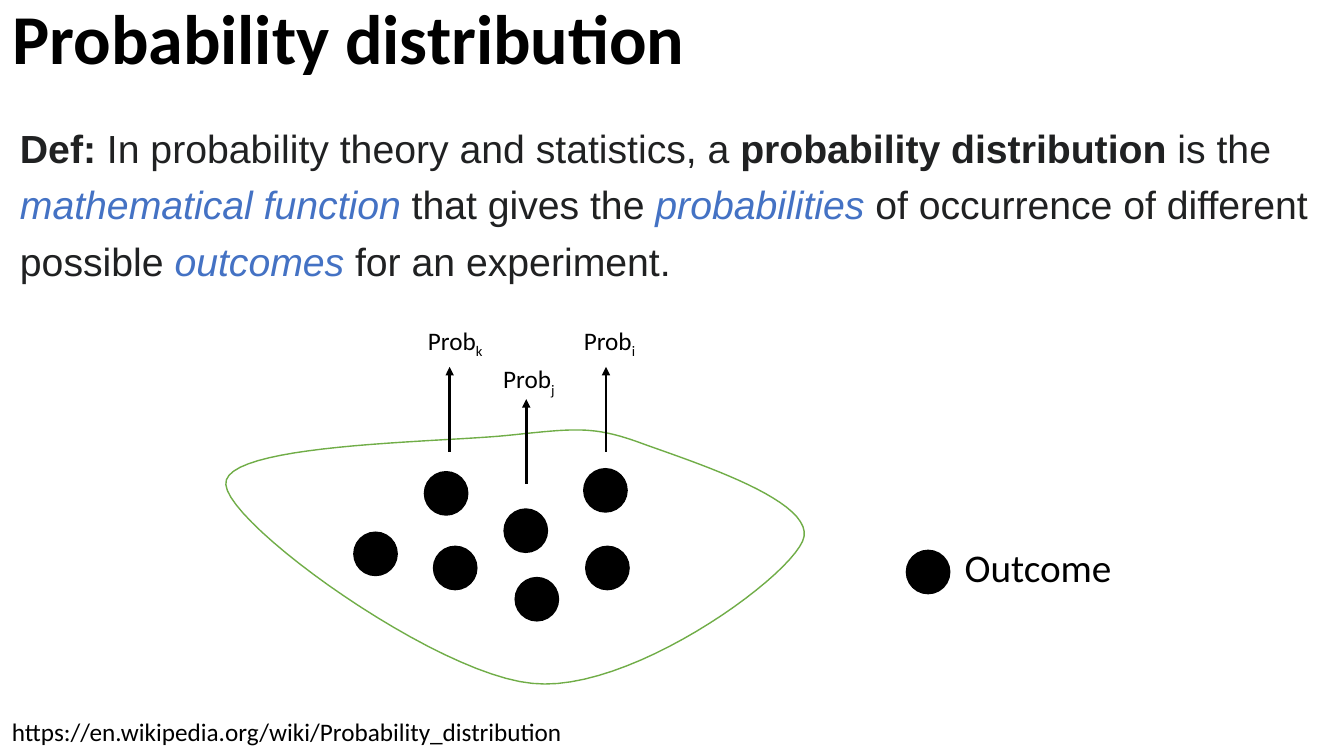
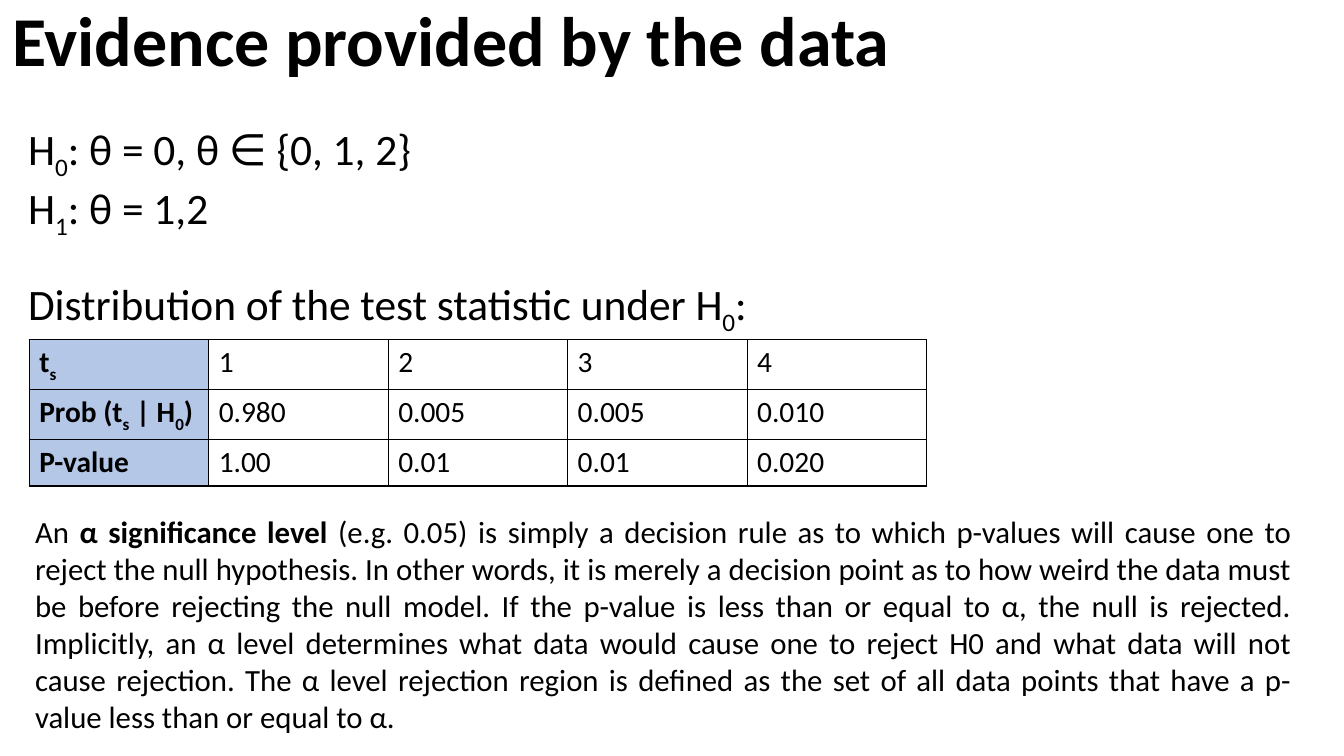
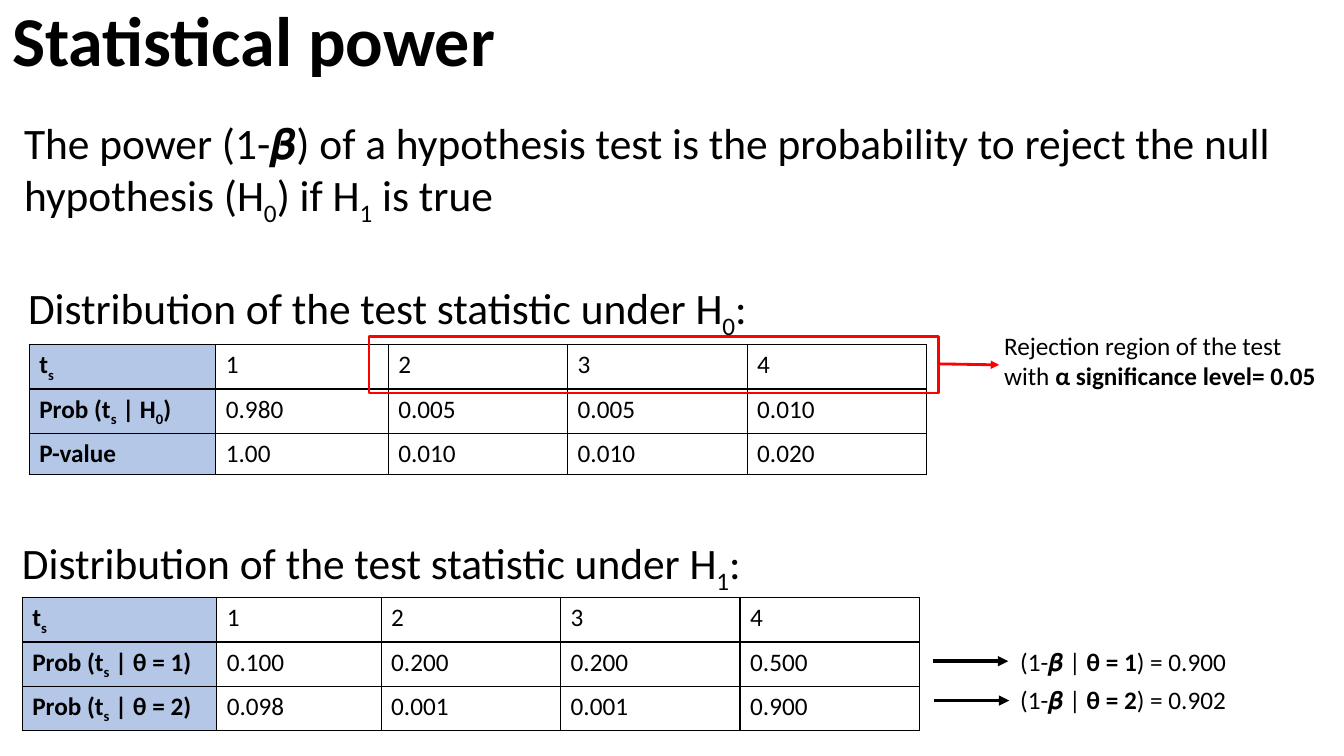
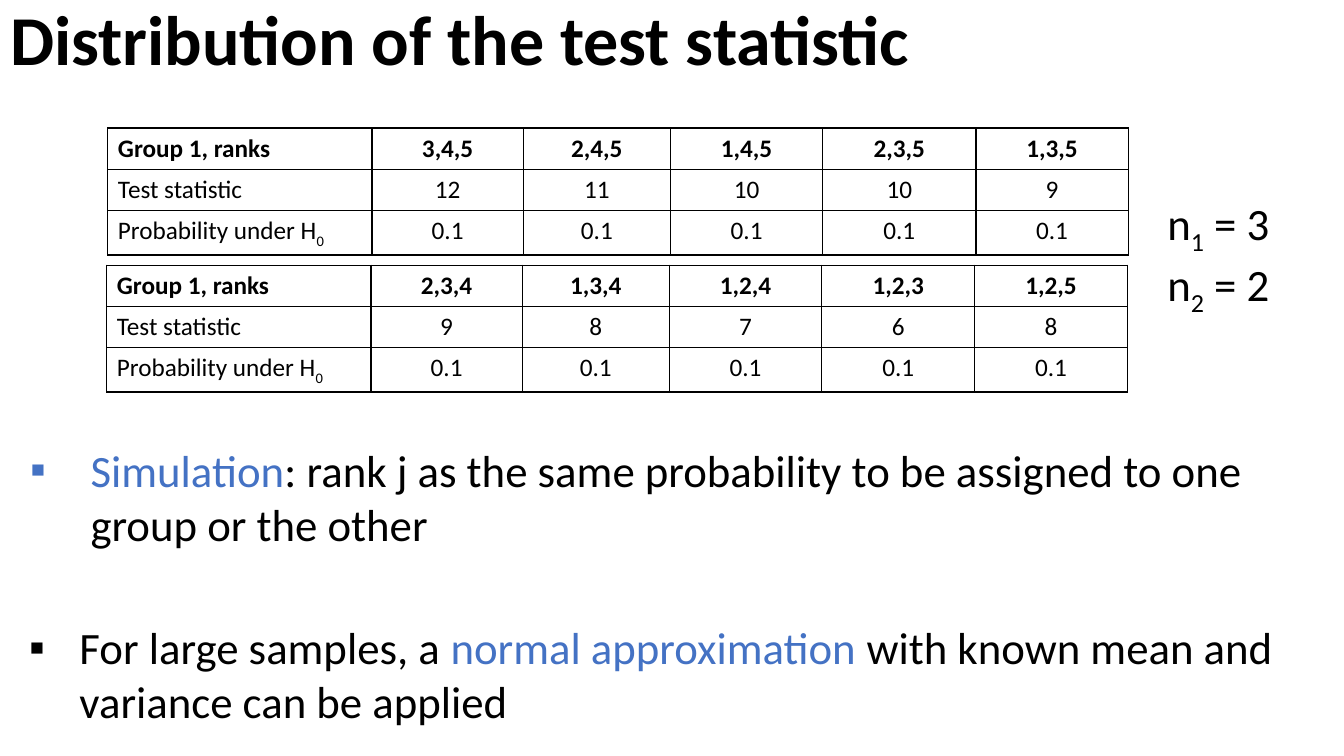
"""Build four slides on probability distributions, evidence and statistical power."""
from lxml import etree
from pptx import Presentation, util as u
from pptx.dml.color import RGBColor
from pptx.enum import shapes, text
from pptx.oxml import ns

SCALE = 9144
BLACK = RGBColor(0x00, 0x00, 0x00)
INK = RGBColor(0x20, 0x21, 0x22)
WHITE = RGBColor(0xFF, 0xFF, 0xFF)
BLUE = RGBColor(0x44, 0x72, 0xC4)
PALE_BLUE = RGBColor(0xB4, 0xC7, 0xE7)
GREEN = RGBColor(0x70, 0xAD, 0x47)
RED = RGBColor(0xFF, 0x00, 0x00)
FONT = "Calibri"
LEFT, CENTER, JUSTIFY = text.PP_ALIGN.LEFT, text.PP_ALIGN.CENTER, text.PP_ALIGN.JUSTIFY
MIDDLE, BOTTOM = text.MSO_ANCHOR.MIDDLE, text.MSO_ANCHOR.BOTTOM

DOT = 43
DOTS = [(351, 528), (421, 468), (430, 542), (500, 505), (511, 573),
        (579, 465), (581, 542), (899, 546)]
OUTLINE_START = (503, 432)
OUTLINE_CURVES = [
    ((434, 439), (219, 440), (224, 481)),
    ((228, 522), (432, 669), (528, 678)),
    ((623, 688), (778, 577), (796, 537)),
    ((814, 498), (686, 458), (637, 440)),
    ((588, 422), (571, 425), (503, 432)),
]
CURVE_STEPS = 24


def distribution_of(index):
    return [["Distribution of the test statistic under H", (index, "sub"), ":"]]


def power_given(theta, power):
    return [["(1-𝜷 | ", (f"θ = {theta}", "bold"), f") = {power}"]]


def probability_label(index):
    return [["Prob", (index, "sub")]]


def probability_head(*condition):
    return ["Prob (t", ("s", "sub"), " | ", *condition, ")"]


STATISTIC_ROW = [["t", ("s", "sub")], "1", "2", "3", "4"]
NULL_ROW = [probability_head("H", ("0", "sub")), "0.980", "0.005", "0.005", "0.010"]


def rank_rows(ranks, statistics):
    return [["Group 1, ranks", *ranks],
            ["Test statistic", *statistics],
            [["Probability under H", ("0", "sub")], *["0.1"] * len(ranks)]]


RANK_TABLE = dict(columns=[262, 150, 146, 151, 152, 151], row_height=41, size=18,
                  head="row", align=CENTER)

PAGES = [
    dict(
        title="Probability distribution", title_box=(2, 8, 1333, 76), anchor=BOTTOM,
        texts=[
            ((10, 109, 1320, 176), [[
                ("Def:", "bold"), " In probability theory and statistics, a ",
                ("probability distribution", "bold"), " is the ",
                ("mathematical function ", "blue italic"), "that gives the ",
                ("probabilities", "blue italic"), " of occurrence of different possible ",
                ("outcomes", "blue italic"), " for an experiment."]],
             dict(size=28, font="Arial", color=INK, spacing=1.2)),
            ((2, 706, 683, 40),
             [["https://en.wikipedia.org/wiki/Probability_distribution"]], dict(size=18)),
            ((947, 534, 180, 57), [["Outcome"]], dict(size=28)),
            ((542, 318, 125, 40), probability_label("i"), dict(size=18, align=CENTER)),
            ((462, 356, 125, 40), probability_label("j"), dict(size=18, align=CENTER)),
            ((389, 318, 125, 40), probability_label("k"), dict(size=18, align=CENTER)),
        ],
        arrows=[((x, y), (x, y - 84), BLACK, 2) for x, y in [(601, 448), (522, 480), (446, 448)]],
    ),
    dict(
        title="Evidence provided by the data", title_box=(2, 4, 1333, 79),
        texts=[
            ((18, 116, 1302, 116), [["H", ("0", "sub"), ": θ = 0, θ ∈ {0, 1, 2}"],
                                    ["H", ("1", "sub"), ": θ = 1,2"]], dict(size=31)),
            ((18, 270, 754, 62), distribution_of("0"), dict(size=31)),
            ((25, 504, 1266, 232), [[
                "An ", ("α significance level ", "bold"),
                "(e.g. 0.05) is simply a decision rule as to which p-values will cause one to "
                "reject the null hypothesis. In other words, it is merely a decision point as to "
                "how weird the data must be before rejecting the null model. If the p-value is "
                "less than or equal to α, the null is rejected. Implicitly, an α level determines "
                "what data would cause one to reject H0 and what data will not cause rejection. "
                "The α level rejection region is defined as the set of all data points that have "
                "a p-value less than or equal to α."]], dict(size=22, align=JUSTIFY)),
        ],
        tables=[((29, 337), [STATISTIC_ROW, NULL_ROW, ["P-value", "1.00", "0.01", "0.01", "0.020"]],
                 dict(columns=[178] * 5, row_height=45, size=21))],
    ),
    dict(
        title="Statistical power", title_box=(2, 4, 1333, 79),
        texts=[
            ((14, 110, 1291, 118), [[
                "The power (1-𝜷) of a hypothesis test is the probability to reject the null "
                "hypothesis (H", ("0", "sub"), ") if H", ("1", "sub"), " is true"]],
             dict(size=31)),
            ((18, 274, 754, 62), distribution_of("0"), dict(size=31)),
            ((12, 527, 754, 62), distribution_of("1"), dict(size=31)),
            ((986, 323, 332, 71), [["Rejection region of the test with ",
                                    ("α significance level= 0.05", "bold")]], dict(size=18)),
            ((1002, 636, 240, 40), power_given(1, "0.900"), dict(size=18)),
            ((1002, 674, 240, 40), power_given(2, "0.902"), dict(size=18)),
        ],
        tables=[
            ((29, 342), [STATISTIC_ROW, NULL_ROW, ["P-value", "1.00", "0.010", "0.010", "0.020"]],
             dict(columns=[185, 171, 178, 178, 178], row_height=41, size=18)),
            ((22, 593), [STATISTIC_ROW,
                         [probability_head("θ = 1"), "0.100", "0.200", "0.200", "0.500"],
                         [probability_head("θ = 2"), "0.098", "0.001", "0.001", "0.900"]],
             dict(columns=[193, 163, 178, 178, 178], row_height=41, size=18)),
        ],
        region=(366, 334, 565, 56),
        arrows=[((931, 361), (991, 362), RED, 2),
                ((925, 656), (1000, 656), BLACK, 2.5),
                ((926, 695), (1001, 695), BLACK, 2.5)],
    ),
    dict(
        title="Distribution of the test statistic", title_box=(0, 3, 1333, 79),
        texts=[
            ((20, 434, 1277, 118), [[
                ("Simulation", "blue"),
                ": rank j as the same probability to be assigned to one group or the other"]],
             dict(size=32, bullet=60)),
            ((19, 610, 1297, 118), [[
                "For large samples, a ", ("normal approximation ", "blue"),
                "with known mean and variance can be applied"]], dict(size=32, bullet=50)),
            ((1148, 189, 151, 118), [["n", ("1", "sub"), " = 3"], ["n", ("2", "sub"), " = 2"]],
             dict(size=32)),
        ],
        tables=[
            ((107, 127), rank_rows(["3,4,5", "2,4,5", "1,4,5", "2,3,5", "1,3,5"],
                                   ["12", "11", "10", "10", "9"]), RANK_TABLE),
            ((106, 263), rank_rows(["2,3,4", "1,3,4", "1,2,4", "1,2,3", "1,2,5"],
                                   ["9", "8", "7", "6", "8"]), RANK_TABLE),
        ],
    ),
]


def px(*lengths):
    return [u.Emu(round(length * SCALE)) for length in lengths]


def add_element(parent, tag, **attributes):
    return etree.SubElement(parent, ns.qn(tag), attributes)


def write(frame, paragraphs, size=18, font=FONT, color=BLACK, bold=False, align=LEFT,
          spacing=None, bullet=None):
    frame.word_wrap = True
    for index, spans in enumerate(paragraphs):
        para = frame.add_paragraph() if index else frame.paragraphs[0]
        para.alignment = align
        if spacing:
            para.line_spacing = spacing
        if bullet:
            properties = para._p.get_or_add_pPr()
            properties.set("marL", str(bullet * SCALE))
            properties.set("indent", str(-bullet * SCALE))
            add_element(properties, "a:buFont", typeface="Arial")
            add_element(properties, "a:buChar", char="▪")
        for content in spans:
            words, style = (content, "") if isinstance(content, str) else content
            span = para.add_run()
            span.text = words
            span.font.name, span.font.size = font, u.Pt(size)
            span.font.bold = bold or "bold" in style
            span.font.italic = "italic" in style
            span.font.color.rgb = BLUE if "blue" in style else color
            if "sub" in style:
                span._r.get_or_add_rPr().set("baseline", "-25000")


def add_titled_page(deck, title, box, anchor):
    page = deck.slides.add_slide(deck.slide_layouts[5])
    holder = page.shapes.title
    holder.left, holder.top, holder.width, holder.height = px(*box)
    frame = holder.text_frame
    frame.auto_size = text.MSO_AUTO_SIZE.NONE
    frame.vertical_anchor = anchor
    write(frame, [[title]], size=50, bold=True, spacing=0.9)
    return page


def add_shape(page, kind, box, fill, line, weight):
    shape = page.shapes.add_shape(kind, *px(*box))
    paint(shape, fill, line, weight)


def paint(shape, fill, line, weight):
    shape.shadow.inherit = False
    if fill is None:
        shape.fill.background()
    else:
        shape.fill.solid()
        shape.fill.fore_color.rgb = fill
    shape.line.color.rgb, shape.line.width = line, u.Pt(weight)


def add_arrow(page, start, end, color, weight):
    arrow = page.shapes.add_connector(shapes.MSO_CONNECTOR.STRAIGHT, *px(*start, *end))
    arrow.line.color.rgb, arrow.line.width = color, u.Pt(weight)
    add_element(arrow.line._get_or_add_ln(), "a:tailEnd", type="triangle")
    add_element(arrow._element.spPr, "a:effectLst")


def add_borders(cell):
    properties = cell._tc.get_or_add_tcPr()
    for position, side in enumerate(("a:lnL", "a:lnR", "a:lnT", "a:lnB")):
        border = etree.Element(ns.qn(side), w=str(u.Pt(1)))
        add_element(add_element(border, "a:solidFill"), "a:srgbClr", val=str(BLACK))
        properties.insert(position, border)


def add_grid(page, corner, rows, columns, row_height, size, head="column", align=LEFT):
    extent = sum(columns), row_height * len(rows)
    table = page.shapes.add_table(len(rows), len(columns), *px(*corner, *extent)).table
    table.first_row = table.horz_banding = False
    for column, width in zip(table.columns, px(*columns)):
        column.width = width
    for r, row in enumerate(rows):
        for c, content in enumerate(row):
            cell = table.cell(r, c)
            spans = [content] if isinstance(content, str) else content
            is_head = c == 0 if head == "column" else r == 0
            write(cell.text_frame, [spans], size=size, bold=is_head, align=align if c else LEFT)
            if is_head and head == "column":
                cell.fill.solid()
                cell.fill.fore_color.rgb = PALE_BLUE
            else:
                cell.fill.background()
            add_borders(cell)


def curve_point(points, t):
    weights = ((1 - t) ** 3, 3 * t * (1 - t) ** 2, 3 * t ** 2 * (1 - t), t ** 3)
    return px(*(sum(w * p[axis] for w, p in zip(weights, points)) for axis in (0, 1)))


def add_outcome_space(page):
    builder = page.shapes.build_freeform(*px(*OUTLINE_START))
    start = OUTLINE_START
    for curve in OUTLINE_CURVES:
        builder.add_line_segments([curve_point((start, *curve), step / CURVE_STEPS)
                                   for step in range(1, CURVE_STEPS + 1)], close=False)
        start = curve[-1]
    builder.add_line_segments([], close=True)
    paint(builder.convert_to_shape(), WHITE, GREEN, 1)
    for corner in DOTS:
        add_shape(page, shapes.MSO_SHAPE.OVAL, (*corner, DOT, DOT), BLACK, BLACK, 1)


def main():
    deck = Presentation()
    deck.slide_width, deck.slide_height = px(1333, 750)
    for number, content in enumerate(PAGES):
        page = add_titled_page(deck, content["title"], content["title_box"],
                               content.get("anchor", MIDDLE))
        if number == 0:
            add_outcome_space(page)
        for corner, rows, layout in content.get("tables", []):
            add_grid(page, corner, rows, **layout)
        if "region" in content:
            add_shape(page, shapes.MSO_SHAPE.RECTANGLE, content["region"], None, RED, 2)
        for box, paragraphs, layout in content["texts"]:
            write(page.shapes.add_textbox(*px(*box)).text_frame, paragraphs, **layout)
        for arrow in content.get("arrows", []):
            add_arrow(page, *arrow)
    deck.save("out.pptx")


if __name__ == "__main__":
    main()
